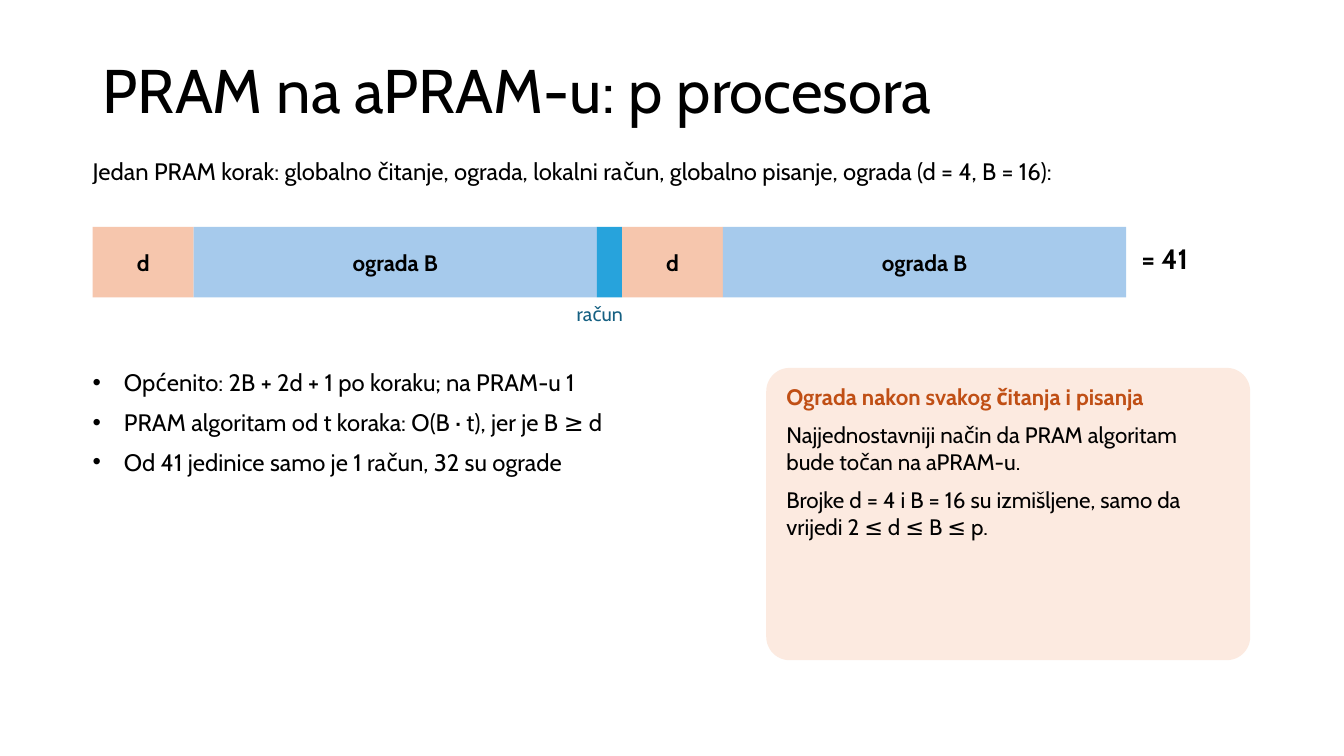
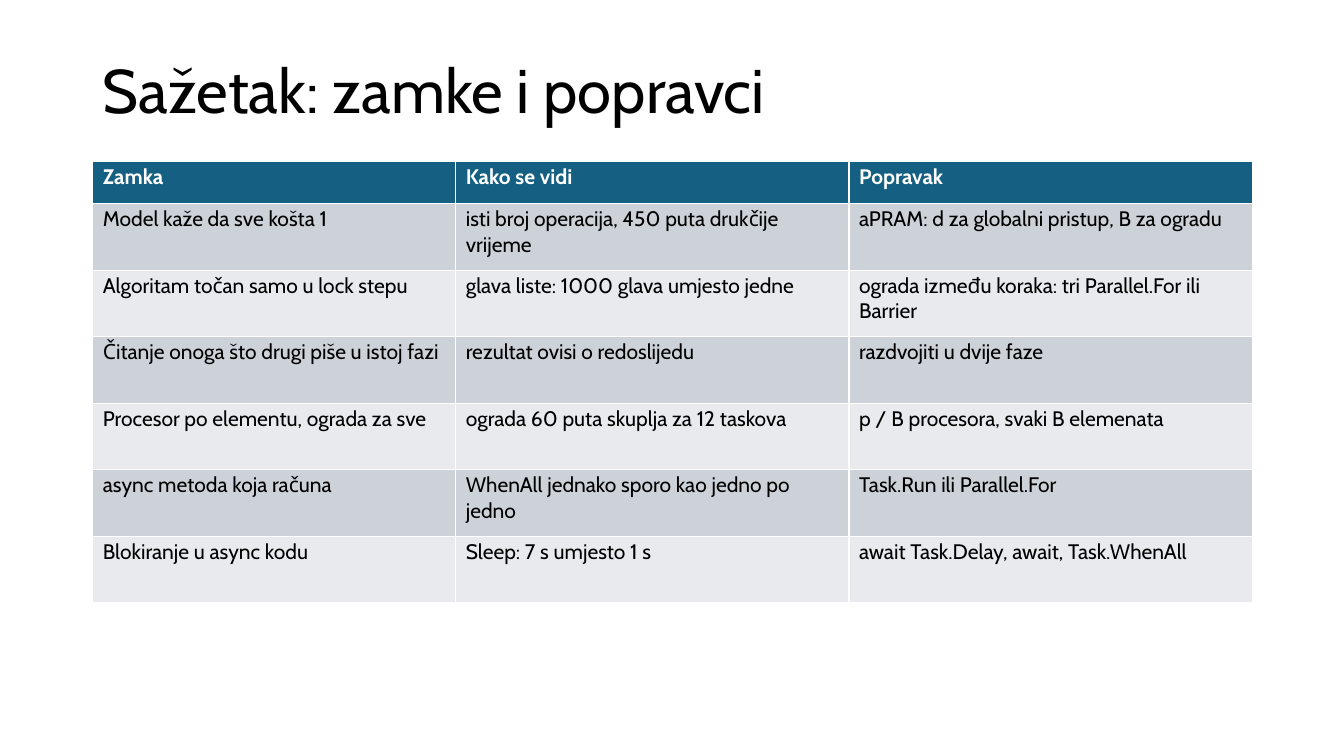
from dataclasses import dataclass

from lxml import etree
from pptx import Presentation
from pptx.dml.color import RGBColor
from pptx.enum.shapes import MSO_SHAPE
from pptx.enum.text import MSO_ANCHOR, PP_ALIGN
from pptx.oxml.ns import qn
from pptx.util import Emu, Pt

RECT, ROUNDED = MSO_SHAPE.RECTANGLE, MSO_SHAPE.ROUNDED_RECTANGLE
TOP, MIDDLE = MSO_ANCHOR.TOP, MSO_ANCHOR.MIDDLE
LEFT, CENTER = PP_ALIGN.LEFT, PP_ALIGN.CENTER
EMU_PER_PX = 9144
BLANK_LAYOUT = 6


@dataclass(frozen=True)
class Theme:
    font: str = "Cabin"
    ink: str = "000000"
    paper: str = "FFFFFF"
    teal: str = "156082"
    access: str = "F6C6AD"
    barrier: str = "A6CAEC"
    compute: str = "27A3DC"
    note: str = "FCEAE0"
    note_heading: str = "C04F15"
    bands: tuple = ("CCD2D8", "E8EAED")
    title_size: int = 44
    total_size: int = 20
    body_size: int = 17
    note_size: int = 16
    table_size: int = 15
    caption_size: int = 14


THEME = Theme()
MARGIN, CONTENT_WIDTH = 92, 1150
TITLE_BOX = (MARGIN, 40, CONTENT_WIDTH, 106)


def px(length):
    return Emu(length * EMU_PER_PX)


def paint(target, color):
    target.fill.solid()
    target.fill.fore_color.rgb = RGBColor.from_string(color)


def style(paragraph, size, color=THEME.ink, bold=False):
    font = paragraph.font
    font.name, font.size, font.bold = THEME.font, Pt(size), bold
    font.color.rgb = RGBColor.from_string(color)


def set_frame(frame, insets=(0, 0), anchor=TOP):
    frame.word_wrap = True
    frame.vertical_anchor = anchor
    frame.margin_left = frame.margin_right = px(insets[0])
    frame.margin_top = frame.margin_bottom = px(insets[1])


def write(frame, lines, size, color=THEME.ink, bold=False, align=LEFT, after=0, bullet_indent=0):
    for index, line in enumerate(lines):
        paragraph = frame.add_paragraph() if index else frame.paragraphs[0]
        paragraph.text = line
        paragraph.alignment = align
        paragraph.space_after = Pt(after)
        if bullet_indent:
            add_bullet(paragraph, bullet_indent)
        style(paragraph, size, color, bold)


def add_bullet(paragraph, indent):
    properties = paragraph._p.get_or_add_pPr()
    properties.set("marL", str(px(indent)))
    properties.set("indent", str(-px(indent)))
    etree.SubElement(properties, qn("a:buFont")).set("typeface", "Arial")
    etree.SubElement(properties, qn("a:buChar")).set("char", "•")


def add_text(slide, box, lines, size, insets=(0, 0), anchor=TOP, **look):
    frame = slide.shapes.add_textbox(*map(px, box)).text_frame
    set_frame(frame, insets, anchor)
    write(frame, lines, size, **look)
    return frame


def add_panel(slide, kind, box, color):
    panel = slide.shapes.add_shape(kind, *map(px, box))
    panel.shadow.inherit = False
    panel.line.fill.background()
    paint(panel, color)
    return panel


def add_titled_slide(deck, title):
    slide = deck.slides.add_slide(deck.slide_layouts[BLANK_LAYOUT])
    frame = add_text(slide, TITLE_BOX, [title], THEME.title_size, (10, 5), MIDDLE)
    frame.paragraphs[0].line_spacing = 0.9
    return slide


def add_step_timeline(slide, box, phases, unit, caption, total):
    left, top, _, height = box
    for label, duration, color in phases:
        width = duration * unit
        phase = add_panel(slide, RECT, (left, top, width, height), color)
        if label:
            set_frame(phase.text_frame, (5, 2), MIDDLE)
            write(phase.text_frame, [label], THEME.note_size, bold=True, align=CENTER)
        else:
            add_text(slide, (left - 20, top + height + 5, 70, 40), [caption],
                     THEME.caption_size, color=THEME.teal)
        left += width
    add_text(slide, (left + 15, top + 15, 160, 50), [total], THEME.total_size, bold=True)


def add_note(slide, box, heading, lines):
    left, top, width, height = box
    panel = add_panel(slide, ROUNDED, box, THEME.note)
    panel.adjustments[0] = 0.08
    frame = add_text(slide, (left + 20, top + 15, width - 40, height - 20),
                     [heading, *lines], THEME.note_size, after=8)
    style(frame.paragraphs[0], THEME.note_size, THEME.note_heading, True)


def add_summary_table(slide, box, widths, header_height, rows):
    left, top, width, height = box
    table = slide.shapes.add_table(len(rows), len(widths), *map(px, box)).table
    for column, column_width in zip(table.columns, widths):
        column.width = px(column_width)
    body_height = (height - header_height) // (len(rows) - 1)
    for row_index, texts in enumerate(rows):
        header = row_index == 0
        table.rows[row_index].height = px(header_height if header else body_height)
        fill = THEME.teal if header else THEME.bands[(row_index - 1) % 2]
        for column_index, text in enumerate(texts):
            cell = table.cell(row_index, column_index)
            cell.margin_left = cell.margin_right = px(10)
            cell.margin_top = cell.margin_bottom = px(3)
            paint(cell, fill)
            write(cell.text_frame, [text], THEME.table_size,
                  color=THEME.paper if header else THEME.ink, bold=header)


def build_step_slide(deck):
    slide = add_titled_slide(deck, "PRAM na aPRAM-u: p procesora")
    add_text(slide, (MARGIN, 155, CONTENT_WIDTH, 50),
             ["Jedan PRAM korak: globalno čitanje, ograda, lokalni račun, "
              "globalno pisanje, ograda (d = 4, B = 16):"], THEME.body_size)
    transfer = [("d", 4, THEME.access), ("ograda B", 16, THEME.barrier)]
    add_step_timeline(slide, (MARGIN, 225, CONTENT_WIDTH, 70),
                      [*transfer, ("", 1, THEME.compute), *transfer],
                      25, "račun", "= 41")
    add_text(slide, (MARGIN, 365, 640, 300), [
        "Općenito: 2B + 2d + 1 po koraku; na PRAM-u 1",
        "PRAM algoritam od t koraka: O(B · t), jer je B ≥ d",
        "Od 41 jedinice samo je 1 račun, 32 su ograde",
    ], THEME.body_size, after=8, bullet_indent=31)
    add_note(slide, (760, 365, 480, 290), "Ograda nakon svakog čitanja i pisanja", [
        "Najjednostavniji način da PRAM algoritam bude točan na aPRAM-u.",
        "Brojke d = 4 i B = 16 su izmišljene, samo da vrijedi 2 ≤ d ≤ B ≤ p.",
    ])


def build_summary_slide(deck):
    slide = add_titled_slide(deck, "Sažetak: zamke i popravci")
    add_summary_table(slide, (MARGIN, 160, CONTENT_WIDTH, 438), (360, 390, 400), 42, [
        ("Zamka", "Kako se vidi", "Popravak"),
        ("Model kaže da sve košta 1", "isti broj operacija, 450 puta drukčije vrijeme",
         "aPRAM: d za globalni pristup, B za ogradu"),
        ("Algoritam točan samo u lock stepu", "glava liste: 1000 glava umjesto jedne",
         "ograda između koraka: tri Parallel.For ili Barrier"),
        ("Čitanje onoga što drugi piše u istoj fazi", "rezultat ovisi o redoslijedu",
         "razdvojiti u dvije faze"),
        ("Procesor po elementu, ograda za sve", "ograda 60 puta skuplja za 12 taskova",
         "p / B procesora, svaki B elemenata"),
        ("async metoda koja računa", "WhenAll jednako sporo kao jedno po jedno",
         "Task.Run ili Parallel.For"),
        ("Blokiranje u async kodu", "Sleep: 7 s umjesto 1 s",
         "await Task.Delay, await, Task.WhenAll"),
    ])


def main():
    deck = Presentation()
    deck.slide_width, deck.slide_height = px(1333), px(750)
    build_step_slide(deck)
    build_summary_slide(deck)
    deck.save("out.pptx")


if __name__ == "__main__":
    main()
